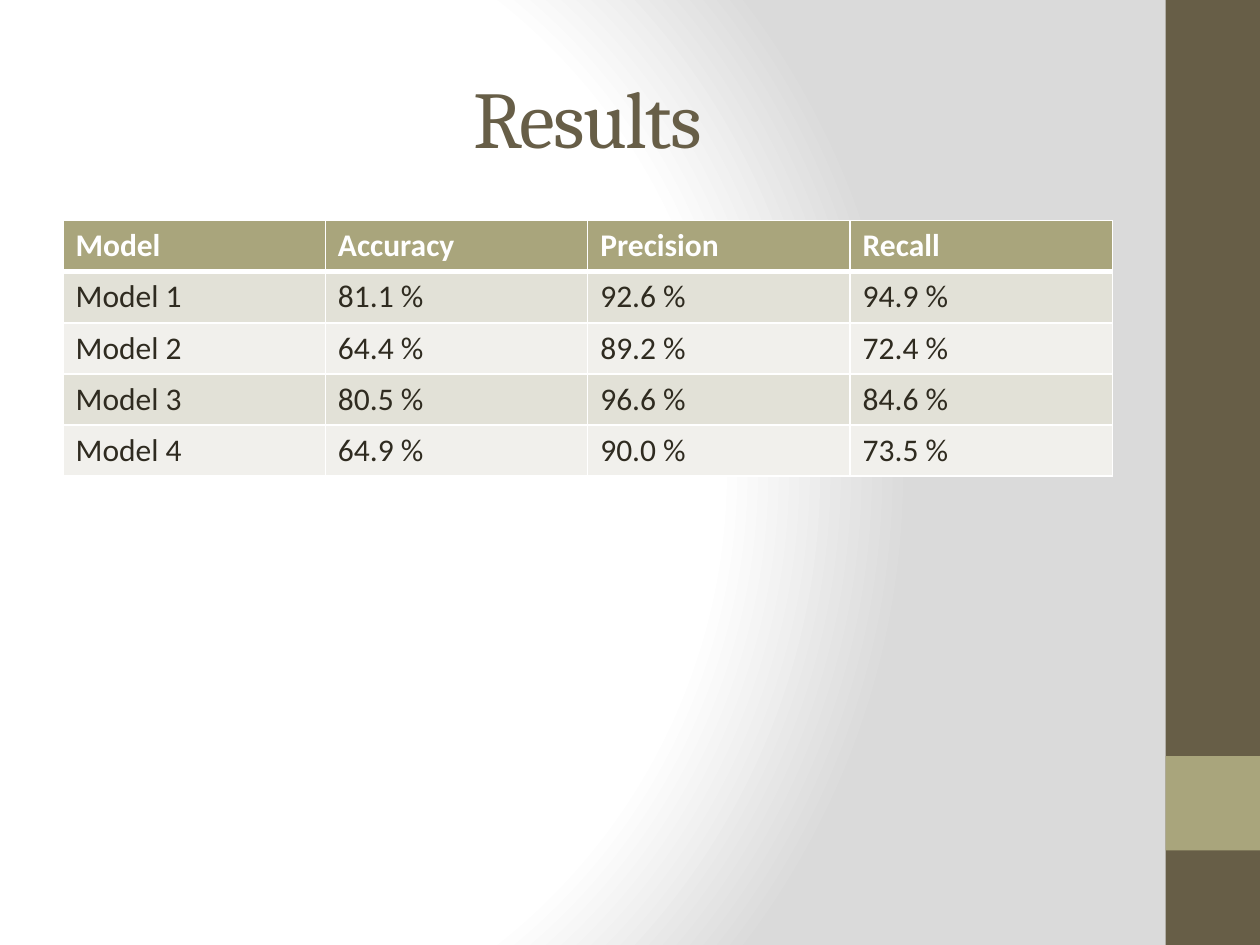
"""Build the results slide with its table of model scores."""
from dataclasses import dataclass

from lxml import etree
from pptx import Presentation, util as u
from pptx.dml.color import RGBColor
from pptx.enum import shapes, text
from pptx.oxml import parse_xml
from pptx.oxml.ns import nsdecls, qn

COLORS = {
    "white": "FFFFFF", "grey": "DADADA", "brown": "675E47", "olive": "A9A57C",
    "ink": "2F2B20", "band_dark": "E2E1D7", "band_light": "F1F0EC",
}
WIDTH, HEIGHT = u.Inches(10), u.Inches(7.5)
LEFT, CONTENT_WIDTH = u.Inches(0.5), u.Inches(8.33)
ROWS = (
    ("Model", "Accuracy", "Precision", "Recall"),
    ("Model 1", "81.1 %", "92.6 %", "94.9 %"),
    ("Model 2", "64.4 %", "89.2 %", "72.4 %"),
    ("Model 3", "80.5 %", "96.6 %", "84.6 %"),
    ("Model 4", "64.9 %", "90.0 %", "73.5 %"),
)


@dataclass
class Band:
    """A side block, placed by shares of the slide's height."""
    top: float
    height: float
    color: str


BANDS = (Band(0, 1, "brown"), Band(0.8, 0.1, "olive"))


def rgb(name: str) -> RGBColor:
    """Return a named colour."""
    return RGBColor.from_string(COLORS[name])


def style_run(r, font: str, size: float, color: str, bold: bool = False) -> None:
    """Format one run."""
    r.font.name, r.font.size, r.font.bold = font, u.Pt(size), bold
    r.font.color.rgb = rgb(color)


def add_background(s) -> None:
    """Give the slide its radial gradient."""
    stops = "".join(
        f'<a:gs pos="{pos * 1000}"><a:srgbClr val="{COLORS[name]}"/></a:gs>'
        for pos, name in ((0, "white"), (75, "white"), (100, "grey")))
    bg = parse_xml(
        f'<p:bg {nsdecls("p", "a")}><p:bgPr><a:gradFill rotWithShape="1">'
        f'<a:gsLst>{stops}</a:gsLst><a:path path="circle">'
        '<a:fillToRect l="20000" t="50000" r="100000" b="50000"/></a:path>'
        '</a:gradFill><a:effectLst/></p:bgPr></p:bg>')
    s.element.find(qn("p:cSld")).insert(0, bg)


def add_band(s, band: Band) -> None:
    """Draw one block of the side bar."""
    left = int(WIDTH * 0.925)
    sp = s.shapes.add_shape(
        shapes.MSO_SHAPE.RECTANGLE, left, int(HEIGHT * band.top),
        WIDTH - left, int(HEIGHT * band.height))
    sp.shadow.inherit = False
    sp.fill.solid()
    sp.fill.fore_color.rgb = rgb(band.color)
    sp.line.fill.background()


def set_title(s, words: str) -> None:
    """Place and format the title."""
    sp = s.shapes.title
    sp.left, sp.top = LEFT, u.Inches(0.3)
    sp.width, sp.height = CONTENT_WIDTH, u.Inches(1.25)
    tf = sp.text_frame
    tf.text = words
    tf.vertical_anchor = text.MSO_ANCHOR.MIDDLE
    tf.auto_size = text.MSO_AUTO_SIZE.NONE
    p = tf.paragraphs[0]
    p.alignment = text.PP_ALIGN.CENTER
    r = p.runs[0]
    style_run(r, "Cambria", 46, "brown")
    r.font._element.set("spc", "-100")


def set_border(cell, side: str, points: float) -> None:
    """Add a white line on one side of a cell."""
    ln = etree.SubElement(cell._tc.get_or_add_tcPr(), qn(f"a:ln{side}"), w=str(u.Pt(points)))
    fill = etree.SubElement(ln, qn("a:solidFill"))
    etree.SubElement(fill, qn("a:srgbClr"), val=COLORS["white"])


def format_cell(cell, row: int) -> None:
    """Format a cell according to its row."""
    header = row == 0
    widths = {"L": 1, "R": 1, "T": 3 if row == 1 else 1, "B": 3 if header else 1}
    for side, points in widths.items():
        set_border(cell, side, points)
    cell.fill.solid()
    band = "band_dark" if row % 2 else "band_light"
    cell.fill.fore_color.rgb = rgb("olive" if header else band)
    r = cell.text_frame.paragraphs[0].runs[0]
    style_run(r, "Calibri", 18, "white" if header else "ink", header)


def add_scores(s) -> None:
    """Add the table of scores."""
    frame = s.shapes.add_table(
        len(ROWS), len(ROWS[0]), LEFT, u.Inches(1.75), CONTENT_WIDTH, u.Inches(2.03))
    for i, row in enumerate(ROWS):
        for j, words in enumerate(row):
            cell = frame.table.cell(i, j)
            cell.text = words
            format_cell(cell, i)


def main() -> None:
    """Build and save the presentation."""
    prs = Presentation()
    prs.slide_width, prs.slide_height = WIDTH, HEIGHT
    s = prs.slides.add_slide(prs.slide_layouts[5])
    add_background(s)
    for band in BANDS:
        add_band(s, band)
    set_title(s, "Results")
    add_scores(s)
    prs.save("out.pptx")


main()
